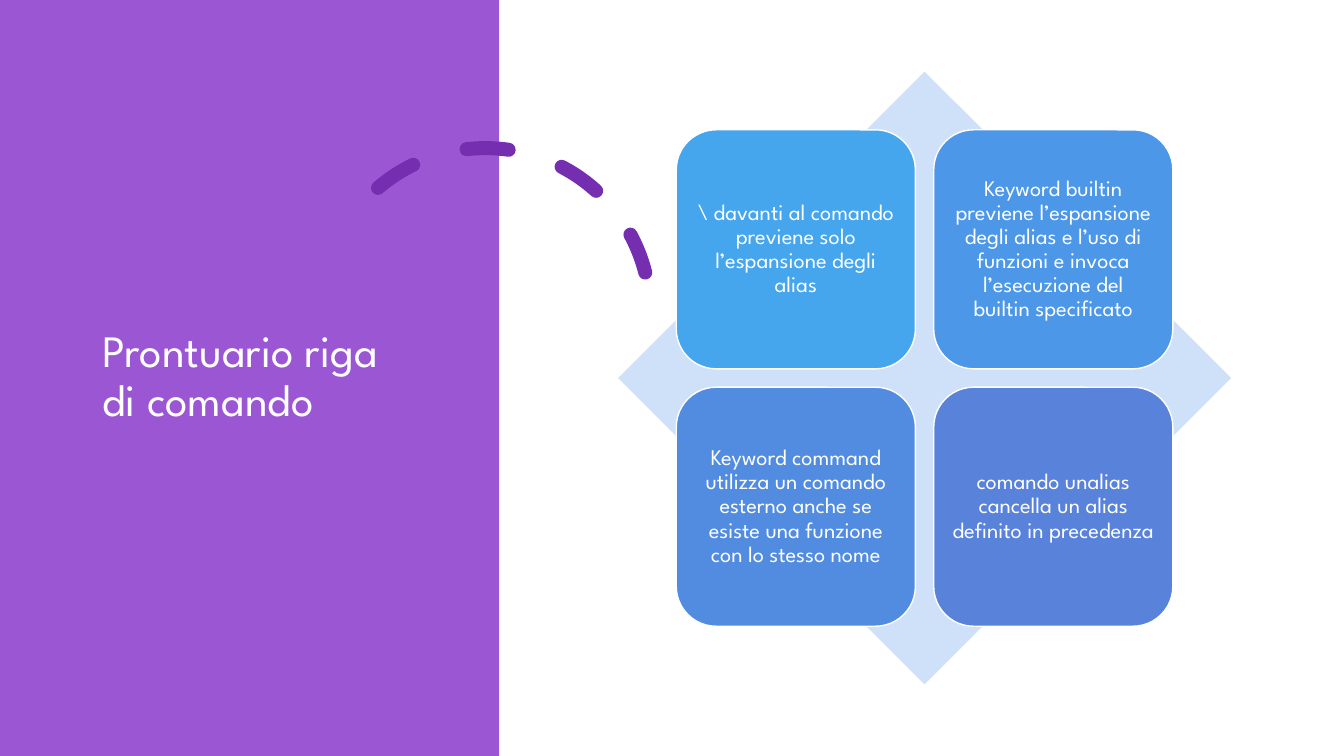
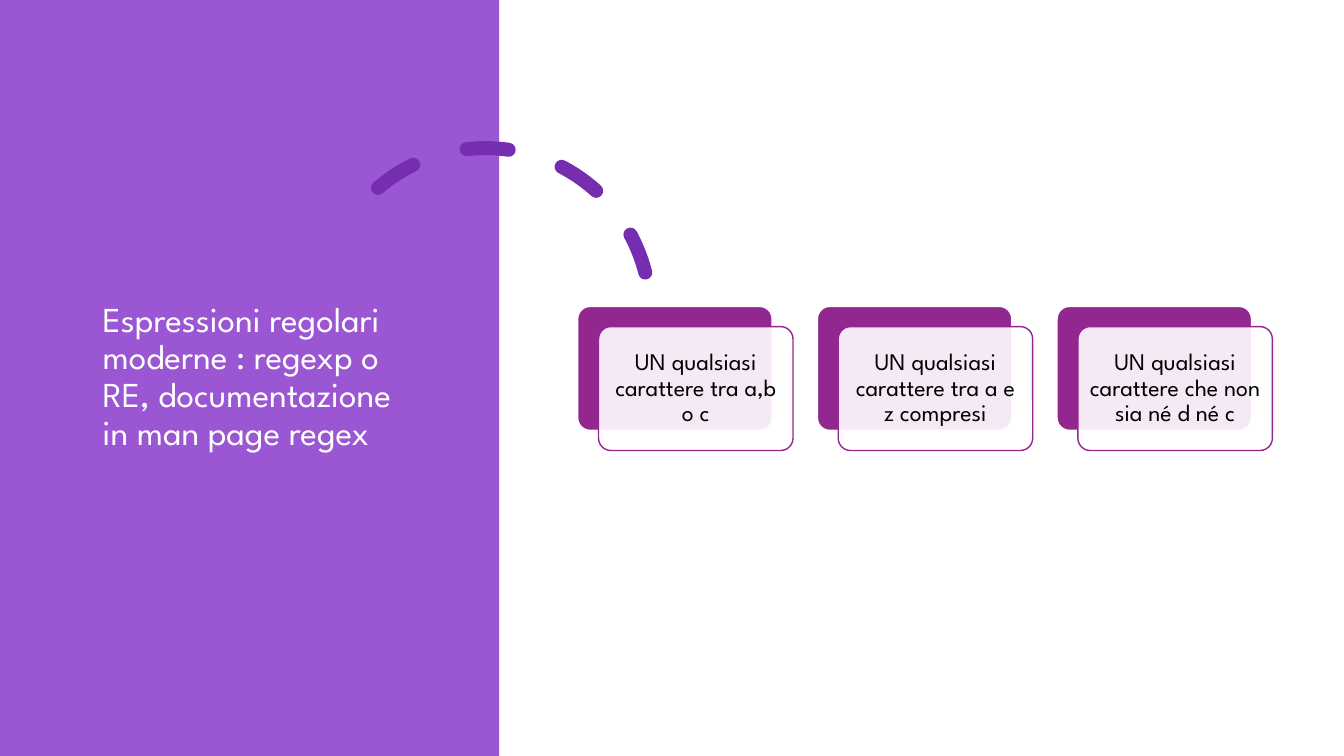
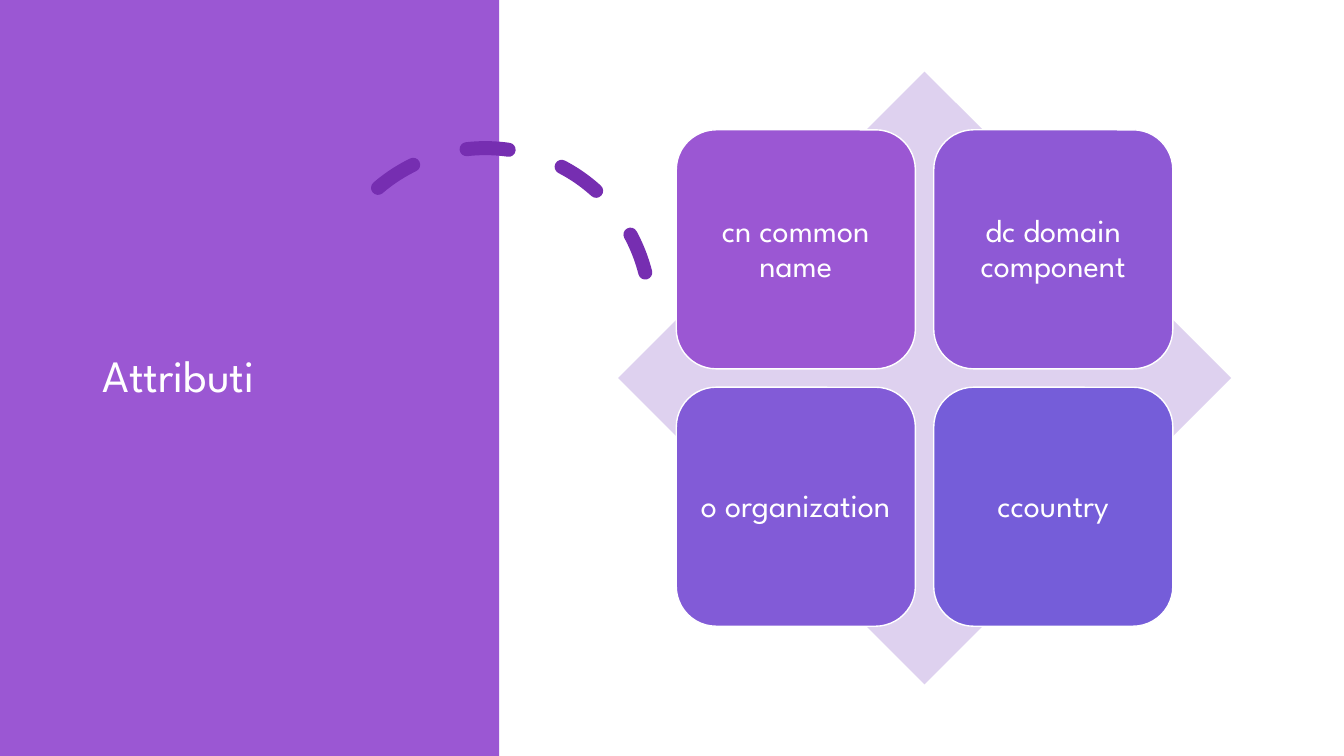
from typing import NamedTuple

from lxml.etree import SubElement
from pptx import Presentation
from pptx.dml.color import RGBColor
from pptx.enum.dml import MSO_LINE
from pptx.enum.shapes import MSO_SHAPE
from pptx.enum.text import MSO_ANCHOR, PP_ALIGN
from pptx.oxml.ns import qn
from pptx.util import Inches, Pt

FONT = "League Spartan"
COLORS = {
    "white": "FFFFFF",
    "black": "000000",
    "band": "9B57D3",
    "arc": "762EB1",
    "plum": "92278F",
    "pale blue": "CFE1F8",
    "pale violet": "DED1EF",
    "sky": "45A5ED",
    "azure": "4C97E7",
    "blue": "528CE1",
    "indigo": "5982DB",
    "orchid": "8E59D5",
    "violet": "825BD7",
    "iris": "755DD9",
}


class Box(NamedTuple):
    left: float
    top: float
    width: float
    height: float

    def share(self, left, top, width, height):
        return Box(self.left + left * self.width, self.top + top * self.height,
                   width * self.width, height * self.height)

    def emu(self):
        return [Inches(length) for length in self]


PAGE = Box(0, 0, 13.33, 7.5)
BAND = Box(0, 0, 4.95, 7.5)
TITLE = Box(0.92, 0.7, 3.23, 6.09)
ARC = Box(3.18, 1.47, 3.27, 3.27)
DIAMOND = Box(6.13, 0.71, 6.08, 6.08)
CARD_ROW = Box(5.73, 3.04, 6.89, 1.43)


def color(name):
    return RGBColor.from_string(COLORS[name])


def add_figure(slide, kind, box, fill=None, line=None, weight=1, opacity=100):
    shape = slide.shapes.add_shape(kind, *box.emu())
    shape.shadow.inherit = False
    if fill:
        shape.fill.solid()
        shape.fill.fore_color.rgb = color(fill)
        if opacity < 100:
            tone = shape.fill._xPr.find(qn("a:solidFill"))[0]
            SubElement(tone, qn("a:alpha")).set("val", str(opacity * 1000))
    else:
        shape.fill.background()
    if line:
        shape.line.color.rgb = color(line)
        shape.line.width = Pt(weight)
    else:
        shape.line.fill.background()
    return shape


def write_text(shape, text, size, ink="white", align=PP_ALIGN.CENTER, inset=0.07):
    frame = shape.text_frame
    frame.word_wrap = True
    frame.vertical_anchor = MSO_ANCHOR.MIDDLE
    frame.margin_left = frame.margin_right = Inches(inset)
    frame.margin_top = frame.margin_bottom = Inches(inset)
    paragraph = frame.paragraphs[0]
    paragraph.alignment = align
    paragraph.line_spacing = 0.9
    run = paragraph.add_run()
    run.text = text
    run.font.name = FONT
    run.font.size = Pt(size)
    run.font.color.rgb = color(ink)


def add_base(presentation, title, size):
    slide = presentation.slides.add_slide(presentation.slide_layouts[6])
    slide.background.fill.solid()
    slide.background.fill.fore_color.rgb = color("white")
    add_figure(slide, MSO_SHAPE.RECTANGLE, BAND, "band")
    arc = add_figure(slide, MSO_SHAPE.ARC, ARC, line="arc", weight=10)
    arc.adjustments[0] = 146.13
    arc.rotation = 345.8
    arc.line.dash_style = MSO_LINE.DASH
    arc.line._get_or_add_ln().set("cap", "rnd")
    title_box = slide.shapes.add_textbox(*TITLE.emu())
    write_text(title_box, title, size, align=PP_ALIGN.LEFT, inset=0.1)
    return slide


def add_matrix(slide, box, backdrop, cards, size, inset):
    margin, side = 0.095, 0.39
    pitch = 1 - 2 * margin - side
    add_figure(slide, MSO_SHAPE.DIAMOND, box, backdrop)
    for index, (text, fill) in enumerate(cards):
        row, column = divmod(index, 2)
        place = box.share(margin + column * pitch, margin + row * pitch, side, side)
        card = add_figure(slide, MSO_SHAPE.ROUNDED_RECTANGLE, place, fill, "white")
        write_text(card, text, size, inset=inset)


def add_card_row(slide, box, texts, size):
    shift_x, shift_y = 0.03, 0.14
    width, height = 0.28, 1 - shift_y
    pitch = (1 - width - shift_x) / (len(texts) - 1)
    for index, text in enumerate(texts):
        left = index * pitch
        back = add_figure(slide, MSO_SHAPE.ROUNDED_RECTANGLE,
                          box.share(left, 0, width, height), "plum", "white")
        front = add_figure(slide, MSO_SHAPE.ROUNDED_RECTANGLE,
                           box.share(left + shift_x, shift_y, width, height),
                           "white", "plum", opacity=90)
        back.adjustments[0] = front.adjustments[0] = 0.1
        write_text(front, text, size, "black")


def main():
    presentation = Presentation()
    presentation.slide_width = Inches(PAGE.width)
    presentation.slide_height = Inches(PAGE.height)

    commands = add_base(presentation, "Prontuario riga di comando", 32)
    add_matrix(commands, DIAMOND, "pale blue", [
        ("\\ davanti al comando previene solo l’espansione degli alias", "sky"),
        ("Keyword builtin previene l’espansione degli alias e l’uso di funzioni "
         "e invoca l’esecuzione del builtin specificato", "azure"),
        ("Keyword command utilizza un comando esterno anche se esiste "
         "una funzione con lo stesso nome", "blue"),
        ("comando unalias cancella un alias definito in precedenza", "indigo"),
    ], size=16, inset=0.07)

    expressions = add_base(
        presentation,
        "Espressioni regolari moderne : regexp o RE, documentazione in man page regex", 25)
    add_card_row(expressions, CARD_ROW, [
        "UN qualsiasi carattere tra a,b o c",
        "UN qualsiasi carattere tra a e z compresi",
        "UN qualsiasi carattere che non sia né d né c",
    ], size=17)

    attributes = add_base(presentation, "Attributi", 32)
    add_matrix(attributes, DIAMOND, "pale violet", [
        ("cn common name", "band"),
        ("dc domain component", "orchid"),
        ("o organization", "violet"),
        ("ccountry", "iris"),
    ], size=23, inset=0.1)

    presentation.save("out.pptx")


if __name__ == "__main__":
    main()
